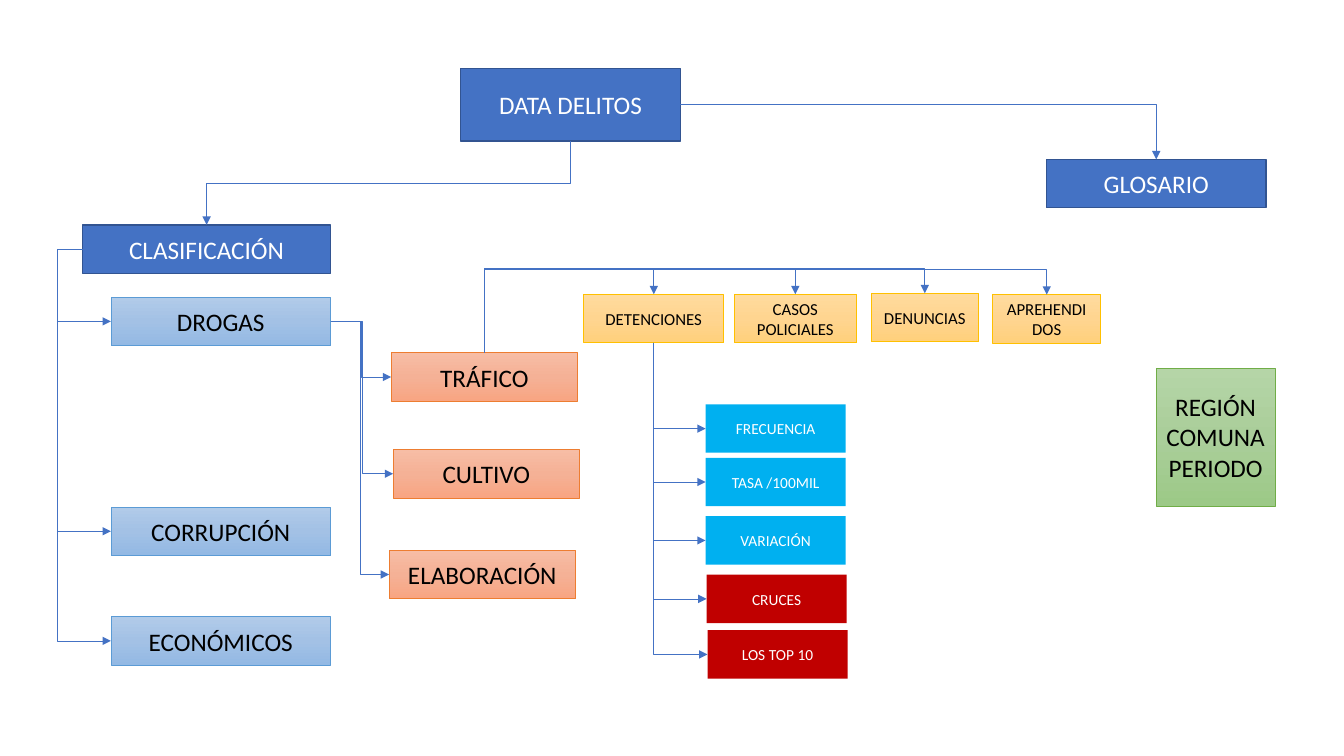
from copy import deepcopy
from dataclasses import dataclass

from pptx import Presentation
from pptx.dml.color import RGBColor
from pptx.enum.shapes import MSO_CONNECTOR, MSO_SHAPE
from pptx.enum.text import MSO_ANCHOR, PP_ALIGN
from pptx.oxml.ns import qn
from pptx.oxml.xmlchemy import OxmlElement
from pptx.util import Pt

RECT, ELBOW = MSO_SHAPE.RECTANGLE, MSO_CONNECTOR.ELBOW
MIDDLE, CENTER = MSO_ANCHOR.MIDDLE, PP_ALIGN.CENTER
TOP, LEFT, BOTTOM, RIGHT = range(4)  # connection sites of a rectangle


@dataclass(frozen=True)
class Style:
    fill: tuple  # one colour, or three gradient stops
    line: str
    line_width: float
    text: str
    size: int


class Theme:
    font = "Calibri"
    link, link_width = "4472C4", 0.5
    row = 34.6  # height of a standard box
    main = Style(("4472C4",), "325491", 1, "FFFFFF", 18)
    crime = Style(("B1CBE9", "A3C1E5", "93B9E4"), "5B9BD5", 0.5, "000000", 18)
    drug = Style(("F7BDA5", "F5B196", "F8A582"), "ED7D31", 0.5, "000000", 18)
    source = Style(("FFDB9E", "FFD590", "FFD07C"), "FFC000", 0.5, "000000", 12)
    filters = Style(("B5D5A7", "AACE9A", "9CC987"), "70AD47", 0.5, "000000", 18)
    measure = Style(("00B0F0",), "", 0, "FFFFFF", 11)
    cross = Style(("C00000",), "", 0, "FFFFFF", 11)


def rgb(value):
    return RGBColor.from_string(value)


def paint(fill, colors):
    if len(colors) == 1:
        fill.solid()
        fill.fore_color.rgb = rgb(colors[0])
        return
    fill.gradient()
    fill.gradient_angle = 270
    first, last = fill.gradient_stops
    stops = first._gs.getparent()
    stops.insert(1, deepcopy(first._gs))
    for i, (stop, color) in enumerate(zip(fill.gradient_stops, colors)):
        stop.color.rgb = rgb(color)
        stop.position = i / 2


def add_box(s, text, style, x, y, w, h=Theme.row):
    sp = s.shapes.add_shape(RECT, Pt(x), Pt(y), Pt(w), Pt(h))
    sp.shadow.inherit = False
    paint(sp.fill, style.fill)
    if style.line:
        sp.line.color.rgb = rgb(style.line)
        sp.line.width = Pt(style.line_width)
    else:
        sp.line.fill.background()
    tf = sp.text_frame
    tf.text = text
    tf.word_wrap = True
    tf.vertical_anchor = MIDDLE
    for p in tf.paragraphs:
        p.alignment = CENTER
        for r in p.runs:
            r.font.name, r.font.size = Theme.font, Pt(style.size)
            r.font.color.rgb = rgb(style.text)
    return sp


def link(s, source, out, target, into, lane=None):
    """Elbow arrow; lane is where the middle segment runs."""
    c = s.shapes.add_connector(ELBOW, 0, 0, 0, 0)
    c.begin_connect(source, out)
    c.end_connect(target, into)
    c.line.color.rgb = rgb(Theme.link)
    c.line.width = Pt(Theme.link_width)
    x1, y1, x2, y2 = c.begin_x, c.begin_y, c.end_x, c.end_y
    dx, dy = x2 - x1, y2 - y1
    spPr = c._element.spPr
    vertical = out in (TOP, BOTTOM)

    # Leaving up or down: the elbow is turned a quarter about its centre
    if vertical:
        c.width, c.height = abs(dy), abs(dx)
        c.left, c.top = (x1 + x2 - abs(dy)) // 2, (y1 + y2 - abs(dx)) // 2
        xfrm = spPr.find(qn("a:xfrm"))
        xfrm.set("rot", "5400000")
        xfrm.set("flipH", str(int(dy < 0)))
        xfrm.set("flipV", str(int(dx > 0)))

    # One corner when the ends are at right angles, otherwise two
    geom = spPr.find(qn("a:prstGeom"))
    if vertical != (into in (TOP, BOTTOM)):
        geom.set("prst", "bentConnector2")
    elif lane is not None:
        start, span = (y1, dy) if vertical else (x1, dx)
        gd = OxmlElement("a:gd")
        gd.set("name", "adj1")
        gd.set("fmla", f"val {round((lane - start) / span * 100000)}")
        geom.find(qn("a:avLst")).append(gd)

    tail = OxmlElement("a:tailEnd")
    tail.set("type", "triangle")
    c.line._get_or_add_ln().append(tail)
    spPr.append(OxmlElement("a:effectLst"))


def heading(s, x, y):
    """Root with its two main branches."""
    root = add_box(s, "DATA DELITOS", Theme.main, x + 270, y, 157, 51.8)
    glossary = add_box(s, "GLOSARIO", Theme.main, x + 688.4, y + 64.8, 157)
    classes = add_box(s, "CLASIFICACIÓN", Theme.main, x, y + 111.6, 177.1)
    link(s, root, BOTTOM, classes, TOP)
    link(s, root, RIGHT, glossary, TOP)
    return classes


def crimes(s, x, y, parent):
    """Kinds of crime, hung from a trunk on the left."""
    boxes = [add_box(s, text, Theme.crime, x, y + dy, 157)
             for text, dy in (("DROGAS", 0), ("CORRUPCIÓN", 149.9),
                              ("ECONÓMICOS", 228.2))]
    for sp in boxes:
        link(s, parent, LEFT, sp, LEFT, parent.left - Pt(18))
    return boxes[0]


def drugs(s, x, y, parent):
    """Drug offences."""
    boxes = [add_box(s, text, Theme.drug, x + dx, y + dy, 133.2)
             for text, dx, dy in (("TRÁFICO", 1.5, 0), ("CULTIVO", 2.9, 69.1),
                                  ("ELABORACIÓN", 0, 141.1))]
    for sp in boxes:
        link(s, parent, RIGHT, sp, LEFT)
    return boxes[0]


def sources(s, x, y, parent):
    """Data sources, fed from a line above them."""
    boxes = [add_box(s, text, Theme.source, x + dx, y + dy, w)
             for text, dx, dy, w in (("DETENCIONES", 0, 0, 100.1),
                                     ("CASOS POLICIALES", 107.3, 0, 87.8),
                                     ("DENUNCIAS", 205.2, -0.7, 77),
                                     ("APREHENDIDOS", 292.3, 0.3, 77))]
    for sp in boxes:
        link(s, parent, TOP, sp, TOP, sp.top - Pt(18))
    return boxes[0]


def measures(s, x, y, parent):
    """Measures and crossings of the arrests."""
    for text, style, dx, dy in (("FRECUENCIA", Theme.measure, 0, 0),
                                ("TASA /100MIL", Theme.measure, 0, 38.2),
                                ("VARIACIÓN", Theme.measure, 0, 79.9),
                                ("CRUCES", Theme.cross, 0.7, 121.7),
                                ("LOS TOP 10", Theme.cross, 1.4, 161.3)):
        sp = add_box(s, text, style, x + dx, y + dy, 100.1)
        link(s, parent, BOTTOM, sp, LEFT)


def filters(s, x, y, w, h):
    """Filters for the data."""
    add_box(s, "REGIÓN\nCOMUNA\nPERIODO", Theme.filters, x, y, w, h)


prs = Presentation()
prs.slide_width, prs.slide_height = Pt(960), Pt(540)
s = prs.slides.add_slide(prs.slide_layouts[6])
classification = heading(s, 59, 49)
drug_crimes = crimes(s, 79.2, 212.3, classification)
traffic = drugs(s, 277.9, 252, drug_crimes)
arrests = sources(s, 416.9, 210.2, traffic)
measures(s, 504, 288.8, arrests)
filters(s, 825.8, 262.8, 85, 98.6)
prs.save("out.pptx")
